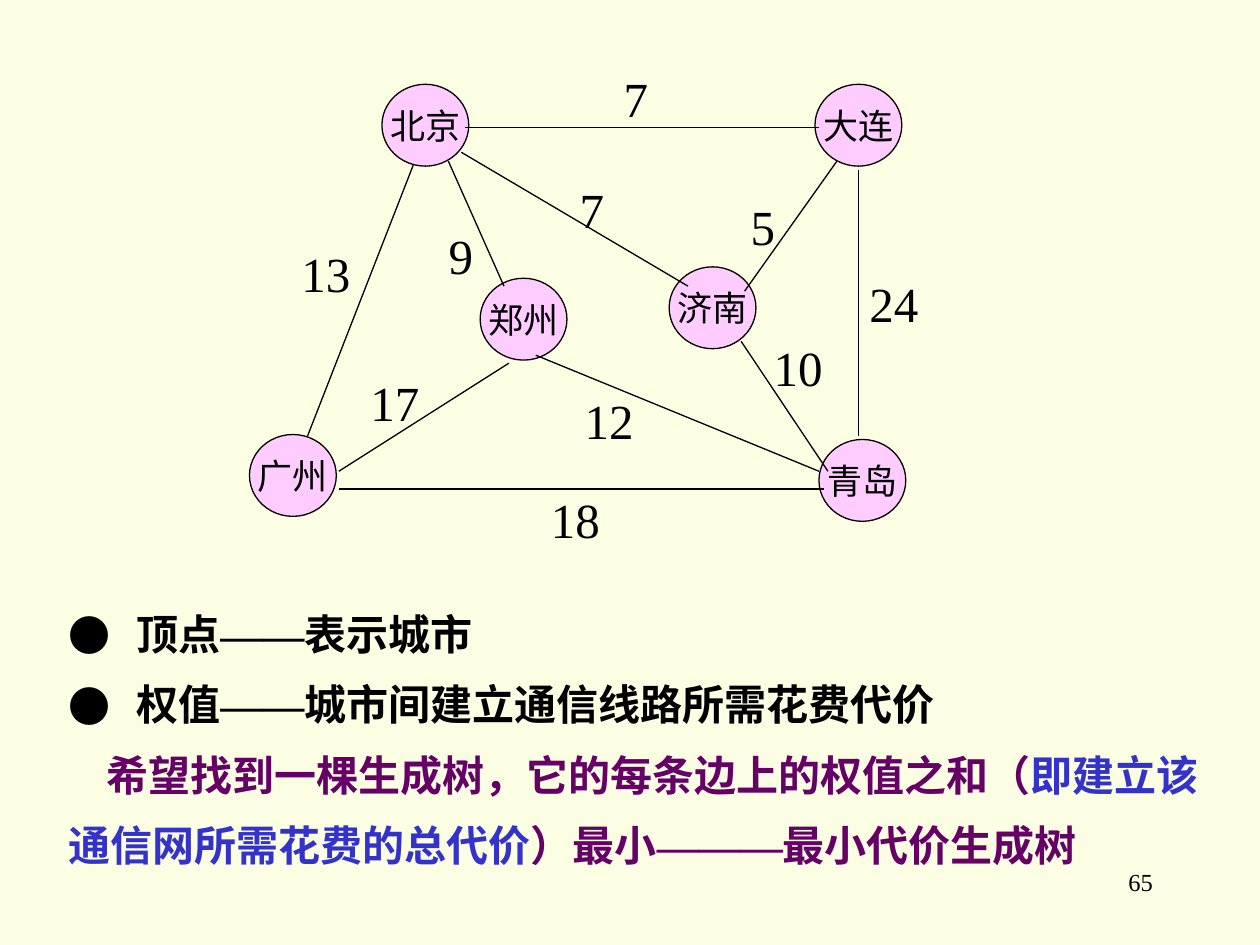
from lxml.etree import SubElement as Sub
from pptx import Presentation
from pptx.dml.color import RGBColor as Rgb
from pptx.enum.shapes import MSO_CONNECTOR as Link, MSO_SHAPE as Form
from pptx.enum.text import MSO_ANCHOR as Anchor, PP_ALIGN as Align
from pptx.oxml.ns import qn
from pptx.util import Cm, Pt

BLACK, PURPLE, BLUE = "000000", "660066", "3333CC"
PINK, CREAM = "FFCCFF", "FBFEE2"
ROMAN, HAN = "Times New Roman", "Noto Sans CJK SC"

CITIES = [
    ("北京", 7.7, 1.7), ("济南", 13.49, 5.38), ("郑州", 9.68, 5.61),
    ("青岛", 16.51, 8.86), ("广州", 5.03, 8.76), ("大连", 16.43, 1.7),
]
ROADS = [
    (9.37, 2.57, 16.51, 2.57), (8.33, 3.33, 6.2, 8.79),
    (9.04, 3.25, 10.16, 5.77), (6.83, 9.86, 16.61, 9.86),
    (10.26, 7.32, 6.83, 9.5), (9.3, 3.07, 13.87, 5.77),
    (17.3, 3.43, 17.3, 8.79), (16.87, 3.25, 15.01, 5.87),
    (14.94, 6.88, 16.69, 9.5), (10.8, 7.16, 16.51, 9.5),
]
COSTS = [
    ("7", 12.32, 1.24), ("13", 5.82, 4.78), ("17", 7.21, 7.37),
    ("9", 8.79, 4.42), ("18", 10.85, 9.73), ("12", 11.53, 7.75),
    ("7", 11.43, 3.48), ("5", 14.88, 3.84), ("24", 17.27, 5.38),
    ("10", 15.34, 6.68),
]
NOTES = [
    (True, [("顶点", BLACK, HAN), ("——", BLACK, ROMAN), ("表示城市", BLACK, HAN)]),
    (True, [("权值", BLACK, HAN), ("——", BLACK, ROMAN),
            ("城市间建立通信线路所需花费代价", BLACK, HAN)]),
    (False, [("希望找到一棵生成树，它的每条边上的权值之和（", PURPLE, HAN),
             ("即建立该通信网所需花费的总代价", BLUE, HAN),
             ("）最小", PURPLE, HAN), ("———", PURPLE, ROMAN),
             ("最小代价生成树", PURPLE, HAN)]),
]


def color(code):
    return Rgb.from_string(code)


class Board:
    def __init__(self, slide):
        self.slide = slide
        self.shapes = slide.shapes
        self.pen = Pt(0.75)
        fill = slide.background.fill
        fill.solid()
        fill.fore_color.rgb = color(CREAM)

    def add_text(self, para, text, size, shade=BLACK, asian=HAN, latin=ROMAN, bold=False):
        run = para.add_run()
        run.text = text
        font = run.font
        font.size, font.name, font.bold = Pt(size), latin, bold
        font.color.rgb = color(shade)
        Sub(run._r.get_or_add_rPr(), qn("a:ea"), typeface=asian)

    def city(self, name, left, top):
        node = self.shapes.add_shape(Form.OVAL, Cm(left), Cm(top), Cm(1.75), Cm(1.65))
        node.shadow.inherit = False
        node.fill.solid()
        node.fill.fore_color.rgb = color(PINK)
        node.line.color.rgb = color(BLACK)
        node.line.width = self.pen
        frame = node.text_frame
        frame.word_wrap = False
        frame.vertical_anchor = Anchor.MIDDLE
        para = frame.paragraphs[0]
        para.alignment = Align.CENTER
        self.add_text(para, name, 20)

    def road(self, *ends):
        line = self.shapes.add_connector(Link.STRAIGHT, *map(Cm, ends))
        line.line.color.rgb = color(BLACK)
        line.line.width = self.pen
        Sub(line._element.spPr, qn("a:effectLst"))

    def label(self, text, box, size, align, anchor=Anchor.TOP, wrap=True):
        frame = self.shapes.add_textbox(*map(Cm, box)).text_frame
        frame.word_wrap = wrap
        frame.vertical_anchor = anchor
        para = frame.paragraphs[0]
        para.alignment = align
        self.add_text(para, text, size)

    def cost(self, text, left, top):
        box = left, top, 0.5 + 0.5 * len(text), 1.45
        self.label(text, box, 28, Align.CENTER, Anchor.MIDDLE, False)

    def bullet(self, para):
        props = para._p.get_or_add_pPr()
        props.set("marL", str(Cm(1.36)))
        props.set("indent", str(-Cm(1.36)))
        tint = Sub(props, qn("a:buClr"))
        Sub(tint, qn("a:srgbClr"), val=BLACK)
        Sub(props, qn("a:buFont"), typeface=HAN)
        Sub(props, qn("a:buChar"), char="●")

    def notes(self, items, box):
        frame = self.shapes.add_textbox(*map(Cm, box)).text_frame
        frame.word_wrap = True
        for num, (mark, runs) in enumerate(items):
            para = frame.add_paragraph() if num else frame.paragraphs[0]
            if mark:
                self.bullet(para)
            else:
                para._p.get_or_add_pPr().set("indent", str(Cm(0.76)))
            para.line_spacing = 1.4
            for text, shade, face in runs:
                self.add_text(para, text, 24, shade, face, face, True)


def main():
    deck = Presentation()
    deck.slide_width, deck.slide_height = Cm(25.4), Cm(19.05)
    board = Board(deck.slides.add_slide(deck.slide_layouts[6]))
    board.label("65", (18.21, 17.35, 5.28, 1.27), 14, Align.RIGHT)
    for city in CITIES:
        board.city(*city)
    for road in ROADS:
        board.road(*road)
    for cost in COSTS:
        board.cost(*cost)
    board.notes(NOTES, (1.14, 11.73, 23.55, 5.94))
    deck.save("out.pptx")


if __name__ == "__main__":
    main()
